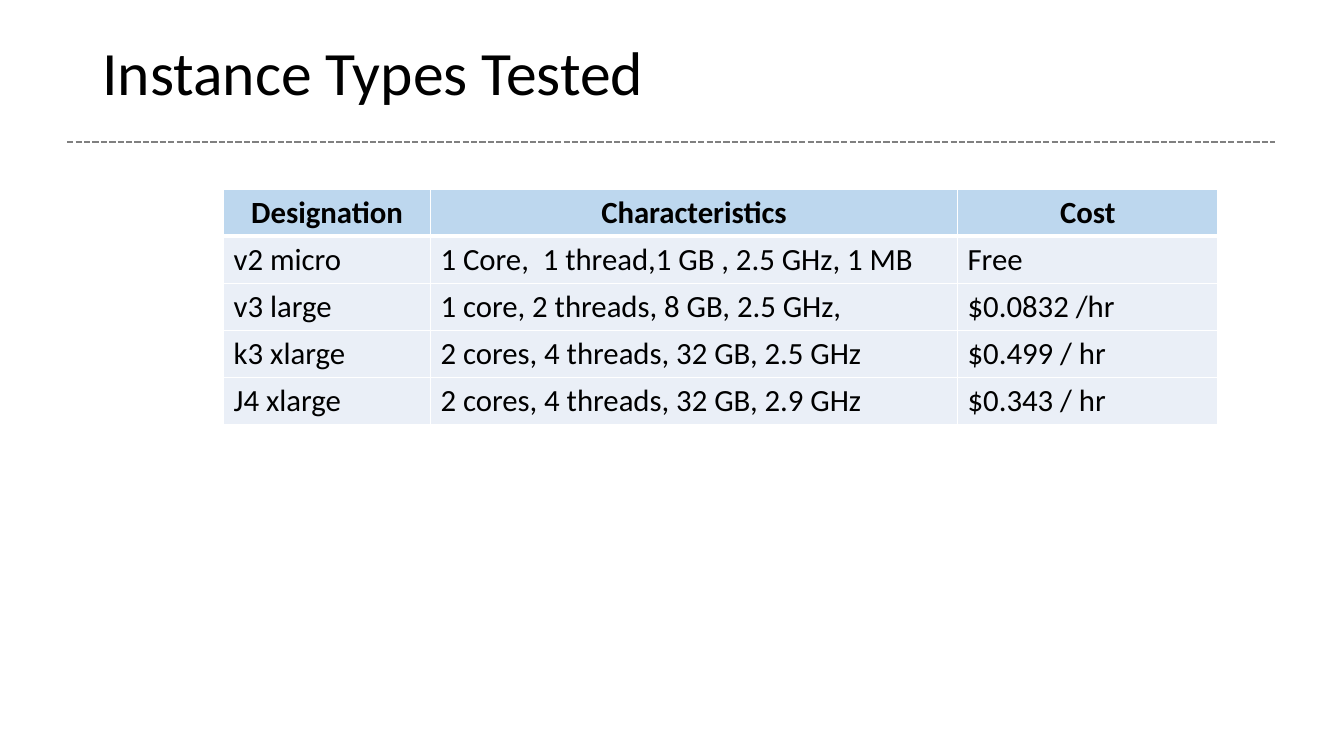
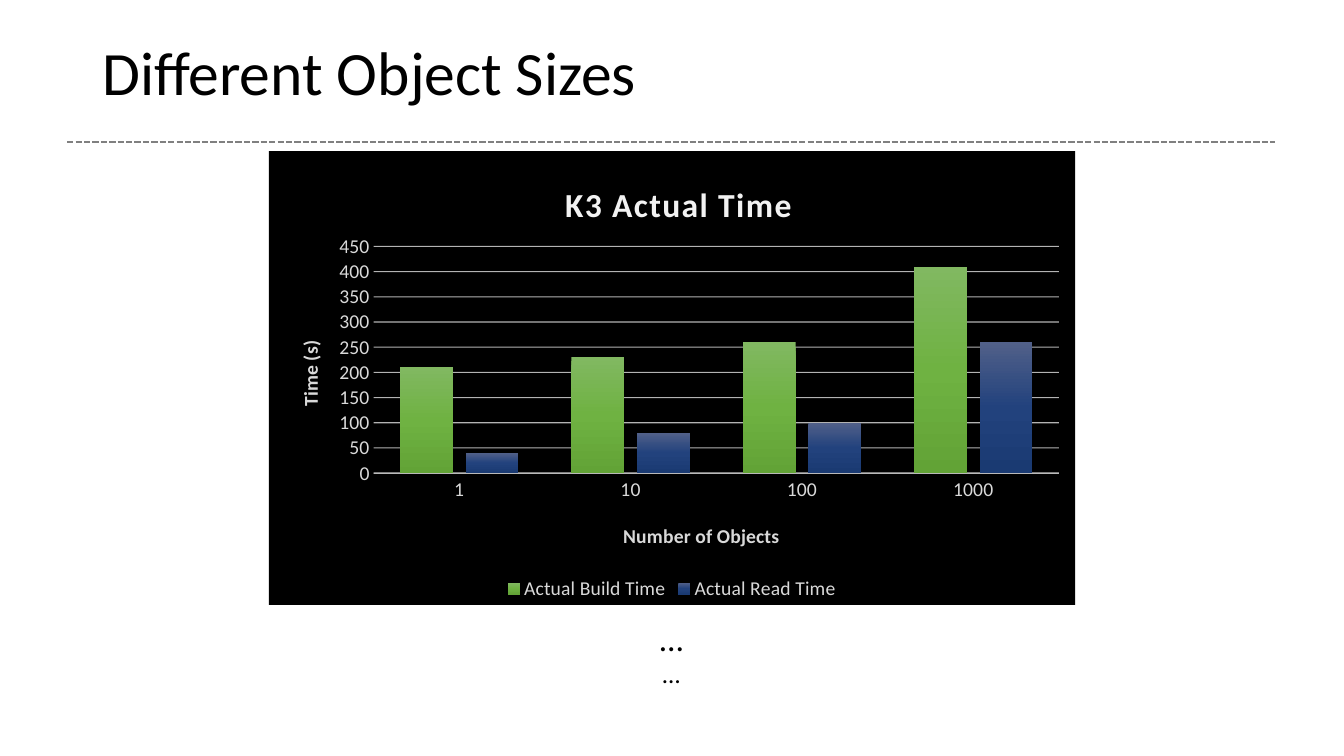
from lxml.etree import SubElement
from pptx import Presentation
from pptx.chart.data import CategoryChartData
from pptx.dml.color import RGBColor
from pptx.enum.chart import XL_CHART_TYPE as ChartType, XL_LEGEND_POSITION as LegendPos
from pptx.enum.chart import XL_TICK_MARK as TickMark
from pptx.enum.dml import MSO_LINE as Dash
from pptx.enum.shapes import MSO_CONNECTOR as Connector
from pptx.enum.text import MSO_ANCHOR as Anchor, PP_ALIGN as Align
from pptx.oxml.ns import qn
from pptx.util import Emu, Pt

EMU_PER_PX = 9525
FONT = "Calibri"
BLACK, WHITE, RULE = "000000", "FFFFFF", "808080"
HEADER_FILL, BODY_FILL = "BDD7EE", "EAEFF7"
CHART_TITLE, CHART_TEXT = "F2F2F2", "D9D9D9"

INSTANCES = [
    ("Designation", "Characteristics", "Cost"),
    ("v2 micro", "1 Core,  1 thread,1 GB , 2.5 GHz, 1 MB", "Free"),
    ("v3 large", "1 core, 2 threads, 8 GB, 2.5 GHz,", "$0.0832 /hr"),
    ("k3 xlarge", "2 cores, 4 threads, 32 GB, 2.5 GHz", "$0.499 / hr"),
    ("J4 xlarge", "2 cores, 4 threads, 32 GB, 2.9 GHz", "$0.343 / hr"),
]
COLUMN_WIDTHS = (197, 502, 248)
OBJECT_COUNTS = ("1", "10", "100", "1000")
TIMES = {
    "Actual Build Time": ((210, 230, 260, 410), ("81B861", "6FB242", "62A336")),
    "Actual Read Time": ((40, 80, 100, 260), ("516089", "22427D", "1A3A72")),
}


def px(*lengths):
    return [Emu(length * EMU_PER_PX) for length in lengths]


def rgb(value):
    return RGBColor.from_string(value)


def style_font(font, size, color, bold=False):
    font.name, font.size, font.bold = FONT, Pt(size), bold
    font.color.rgb = rgb(color)


def write(paragraph, text, size, color=BLACK, bold=False, align=None):
    run = paragraph.add_run()
    run.text = text
    style_font(run.font, size, color, bold)
    paragraph.alignment = align


def add_frame(slide, *box):
    frame = slide.shapes.add_textbox(*px(*box)).text_frame
    frame.word_wrap = True
    return frame


def start_slide(deck, title):
    slide = deck.slides.add_slide(deck.slide_layouts[6])
    heading = add_frame(slide, 88, 33, 1104, 78)
    heading.vertical_anchor = Anchor.MIDDLE
    heading.paragraphs[0].line_spacing = 0.9
    write(heading.paragraphs[0], title, 44)
    rule = slide.shapes.add_connector(Connector.STRAIGHT, *px(64, 135, 1214, 135))
    rule.line.color.rgb = rgb(RULE)
    rule.line.width = Pt(1.5)
    rule.line.dash_style = Dash.SQUARE_DOT
    SubElement(rule.element.spPr, qn("a:effectLst"))
    return slide


def add_solid(parent, color):
    fill = SubElement(parent, qn("a:solidFill"))
    SubElement(fill, qn("a:srgbClr"), val=color)


def add_borders(cell, top, bottom):
    properties = cell._tc.get_or_add_tcPr()
    for side, width in (("L", 1), ("R", 1), ("T", top), ("B", bottom)):
        border = SubElement(properties, qn(f"a:ln{side}"), w=str(Pt(width)))
        add_solid(border, WHITE)


def add_instance_table(slide):
    box = px(213, 180, sum(COLUMN_WIDTHS), 40 * len(INSTANCES))
    table = slide.shapes.add_table(len(INSTANCES), len(COLUMN_WIDTHS), *box).table
    for column, width in zip(table.columns, px(*COLUMN_WIDTHS)):
        column.width = width
    for row, texts in enumerate(INSTANCES):
        header = row == 0
        for column, text in enumerate(texts):
            cell = table.cell(row, column)
            add_borders(cell, 3 if row == 1 else 1, 3 if header else 1)
            cell.fill.solid()
            cell.fill.fore_color.rgb = rgb(HEADER_FILL if header else BODY_FILL)
            write(cell.text_frame.paragraphs[0], text, 22, bold=header,
                  align=Align.CENTER if header else Align.LEFT)


def place(part, index, inner=False, **position):
    layout = part.find(qn("c:layout"))
    if layout is None:
        layout = part.makeelement(qn("c:layout"))
        part.insert(index, layout)
    manual = SubElement(layout, qn("c:manualLayout"))
    if inner:
        SubElement(manual, qn("c:layoutTarget"), val="inner")
    for key in ("x", "y"):
        SubElement(manual, qn(f"c:{key}Mode"), val="edge")
    for key, value in position.items():
        SubElement(manual, qn(f"c:{key}"), val=str(value))


def write_chart_title(title, text, size, color, x, y):
    write(title.text_frame.paragraphs[0], text, size, color, True)
    place(title.element, 1, x=x, y=y)


def fade(part, percent):
    for color in part.iter(qn("a:srgbClr")):
        SubElement(color, qn("a:alpha"), val=str(percent * 1000))


def fill_background(chart):
    background = chart.element.makeelement(qn("c:spPr"))
    chart.element.find(qn("c:chart")).addnext(background)
    add_solid(background, BLACK)
    SubElement(SubElement(background, qn("a:ln")), qn("a:noFill"))


def shade_series(chart):
    for series in chart.plots[0].series:
        series.invert_if_negative = False
        series.format.fill.gradient()
        series.format.fill.gradient_angle = 270
    for stops, (_, colors) in zip(chart.element.iter(qn("a:gsLst")), TIMES.values()):
        for stop in list(stops):
            stops.remove(stop)
        for position, color in zip((0, 50, 100), colors):
            stop = SubElement(stops, qn("a:gs"), pos=str(position * 1000))
            SubElement(stop, qn("a:srgbClr"), val=color)


def style_axes(chart):
    counts, seconds = chart.category_axis, chart.value_axis
    for axis, title, x, y in ((counts, "Number of Objects", 0.435, 0.81),
                              (seconds, "Time (s)", 0.03, 0.41)):
        axis.major_tick_mark = axis.minor_tick_mark = TickMark.NONE
        style_font(axis.tick_labels.font, 14, CHART_TEXT)
        write_chart_title(axis.axis_title, title, 14, CHART_TEXT, x, y)
    counts.format.line.color.rgb = rgb(CHART_TITLE)
    counts.format.line.width = Pt(1)
    seconds.format.line.fill.background()
    seconds.minimum_scale, seconds.maximum_scale, seconds.major_unit = 0, 450, 50
    grid = seconds.major_gridlines.format.line
    grid.color.rgb = rgb(WHITE)
    grid.width = Pt(0.75)
    fade(chart.element.find(f".//{qn('c:catAx')}/{qn('c:spPr')}"), 54)
    fade(chart.element.find(f".//{qn('c:majorGridlines')}"), 70)


def add_time_chart(slide):
    data = CategoryChartData()
    data.categories = OBJECT_COUNTS
    for name, (values, _) in TIMES.items():
        data.add_series(name, values)
    chart = slide.shapes.add_chart(
        ChartType.COLUMN_CLUSTERED, *px(256, 144, 768, 432), data).chart
    style_font(chart.font, 10, BLACK)
    fill_background(chart)
    write_chart_title(chart.chart_title, "K3 Actual Time", 24, CHART_TITLE, 0.36, 0.055)
    for properties in chart.chart_title.element.iter(qn("a:rPr")):
        properties.set("spc", "100")
    plot = chart.plots[0]
    plot.gap_width, plot.overlap, plot.vary_by_categories = 100, -24, False
    shade_series(chart)
    style_axes(chart)
    chart.has_legend = True
    chart.legend.position = LegendPos.BOTTOM
    chart.legend.include_in_layout = False
    style_font(chart.legend.font, 14, CHART_TEXT)
    place(chart.element.find(f".//{qn('c:plotArea')}"), 0, inner=True,
          x=0.13, y=0.21, w=0.85, h=0.5)


def add_ellipses(slide):
    frame = add_frame(slide, 295, 584, 689, 78)
    write(frame.paragraphs[0], "…", 24, align=Align.CENTER)
    write(frame.add_paragraph(), "…", 18, align=Align.CENTER)


def main():
    deck = Presentation()
    deck.slide_width, deck.slide_height = px(1280, 720)
    add_instance_table(start_slide(deck, "Instance Types Tested"))
    sizes = start_slide(deck, "Different Object Sizes")
    add_ellipses(sizes)
    add_time_chart(sizes)
    deck.save("out.pptx")


if __name__ == "__main__":
    main()
